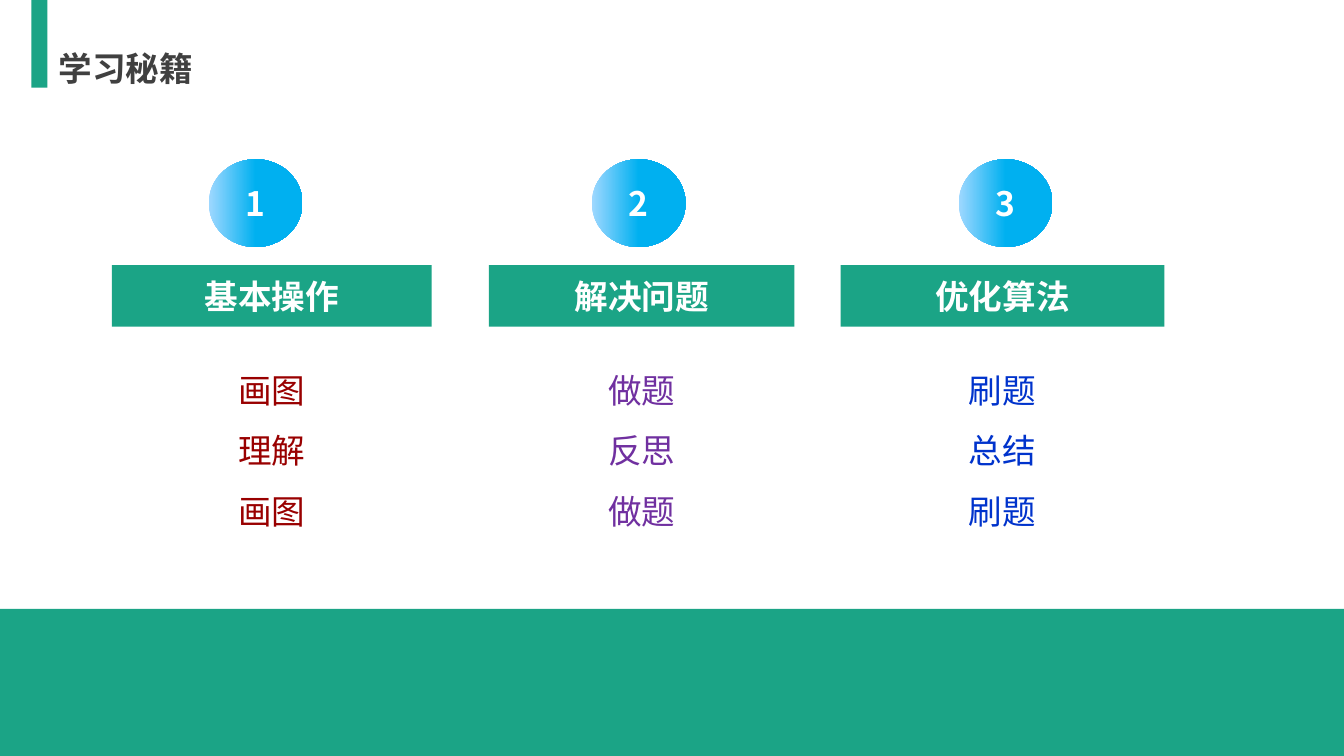
from lxml import etree
from pptx import Presentation
from pptx import util as u
from pptx.dml.color import RGBColor
from pptx.enum import shapes, text
from pptx.oxml.ns import qn

COLORS = {
    "green": "1BA486", "ink": "404040", "white": "FFFFFF",
    "sky": "9FD8FF", "blue": "00B0F0",
    "red": "990000", "purple": "7030A0", "navy": "0033CC",
}


class Deck:
    """Style and current slide; lengths are percentages of the slide."""
    font, size = "Noto Sans CJK SC", 24

    def __init__(self):
        self.prs = Presentation()
        self.prs.slide_width, self.prs.slide_height = u.Inches(13.333), u.Inches(7.5)
        self.s = self.prs.slides.add_slide(self.prs.slide_layouts[5])

    def box(self, x, y, w, h):
        width, height = self.prs.slide_width, self.prs.slide_height
        return [int(share * side / 100)
                for share, side in ((x, width), (y, height), (w, width), (h, height))]

    def color(self, name):
        return RGBColor.from_string(COLORS[name])

    def add_lines(self, sp, lines, color, bold=False, wrap=True, spacing=1.0,
                  align=text.PP_ALIGN.CENTER, anchor=text.MSO_ANCHOR.MIDDLE):
        tf = sp.text_frame
        tf.word_wrap, tf.vertical_anchor = wrap, anchor
        tf.auto_size = text.MSO_AUTO_SIZE.NONE
        for i, line in enumerate(lines):
            p = tf.add_paragraph() if i else tf.paragraphs[0]
            p.alignment, p.line_spacing = align, spacing
            r = p.add_run()
            r.text = line
            r.font.name, r.font.size, r.font.bold = self.font, u.Pt(self.size), bold
            r.font.color.rgb = self.color(color)
            # East Asian typeface
            ea = etree.SubElement(r.font._element, qn("a:ea"))
            ea.set("typeface", self.font)

    def title(self, line, *area):
        sp = self.s.shapes.title
        sp.left, sp.top, sp.width, sp.height = self.box(*area)
        self.add_lines(sp, [line], "ink", bold=True, wrap=False,
                       align=text.PP_ALIGN.LEFT)

    def shape(self, kind, *area):
        sp = self.s.shapes.add_shape(kind, *self.box(*area))
        sp.shadow.inherit = False
        sp.line.fill.background()
        return sp

    def bar(self, *area, label=None):
        sp = self.shape(shapes.MSO_SHAPE.RECTANGLE, *area)
        sp.fill.solid()
        sp.fill.fore_color.rgb = self.color("green")
        if label:
            self.add_lines(sp, [label], "white", bold=True)

    def badge(self, label, *area):
        sp = self.shape(shapes.MSO_SHAPE.OVAL, *area)
        sp.fill.gradient()
        sp.fill.gradient_angle = 0
        stops = zip(sp.fill.gradient_stops, ("sky", "blue"), (0, 0.5))
        for stop, color, position in stops:
            stop.color.rgb, stop.position = self.color(color), position
        self.add_lines(sp, [label], "white", bold=True)

    def steps(self, lines, color, *area):
        sp = self.s.shapes.add_textbox(*self.box(*area))
        self.add_lines(sp, lines, color, wrap=False, spacing=1.5,
                       anchor=text.MSO_ANCHOR.TOP)


# Heading, its lines, line colour, bar left, bar width, badge left
STAGES = [
    ("基本操作", ["画图", "理解", "画图"], "red", 8.33, 23.78, 15.53),
    ("解决问题", ["做题", "反思", "做题"], "purple", 36.38, 22.73, 44.03),
    ("优化算法", ["刷题", "总结", "刷题"], "navy", 62.55, 24.08, 71.33),
]
STEPS_WIDTH = 6.6


def main():
    deck = Deck()

    # Title with its accent, and the footer band
    deck.bar(2.33, 0, 1.2, 11.6)
    deck.title("学习秘籍", 3.6, 5.73, 11.63, 6.67)
    deck.bar(0, 80.53, 100, 19.47)

    # Three numbered stages
    for number, (heading, lines, color, left, width, badge_left) in enumerate(STAGES, 1):
        deck.bar(left, 35.07, width, 8.13, label=heading)
        deck.steps(lines, color, left + (width - STEPS_WIDTH) / 2, 45.6,
                   STEPS_WIDTH, 24.67)
        deck.badge(str(number), badge_left, 21.07, 6.98, 11.6)

    deck.prs.save("out.pptx")


if __name__ == "__main__":
    main()
